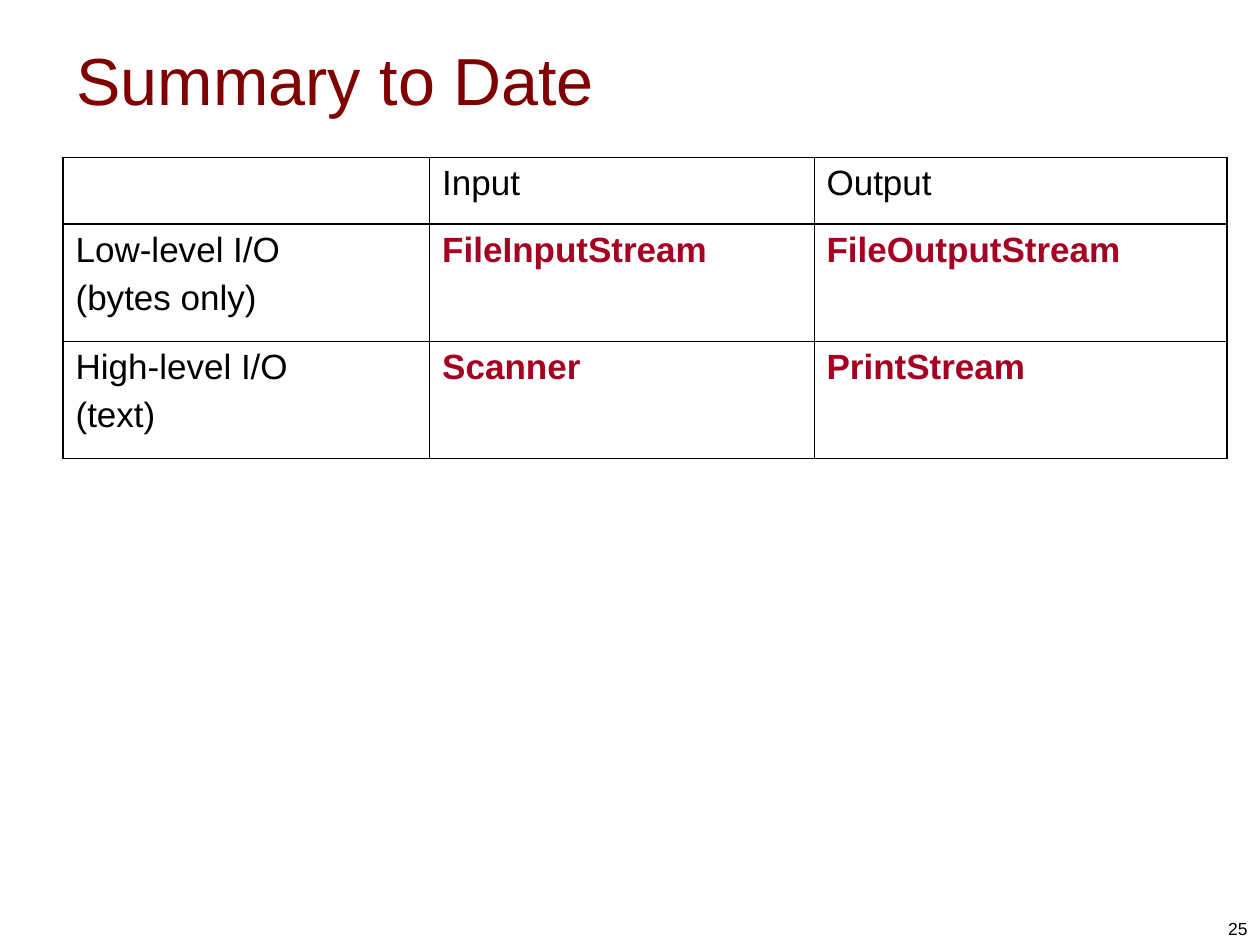
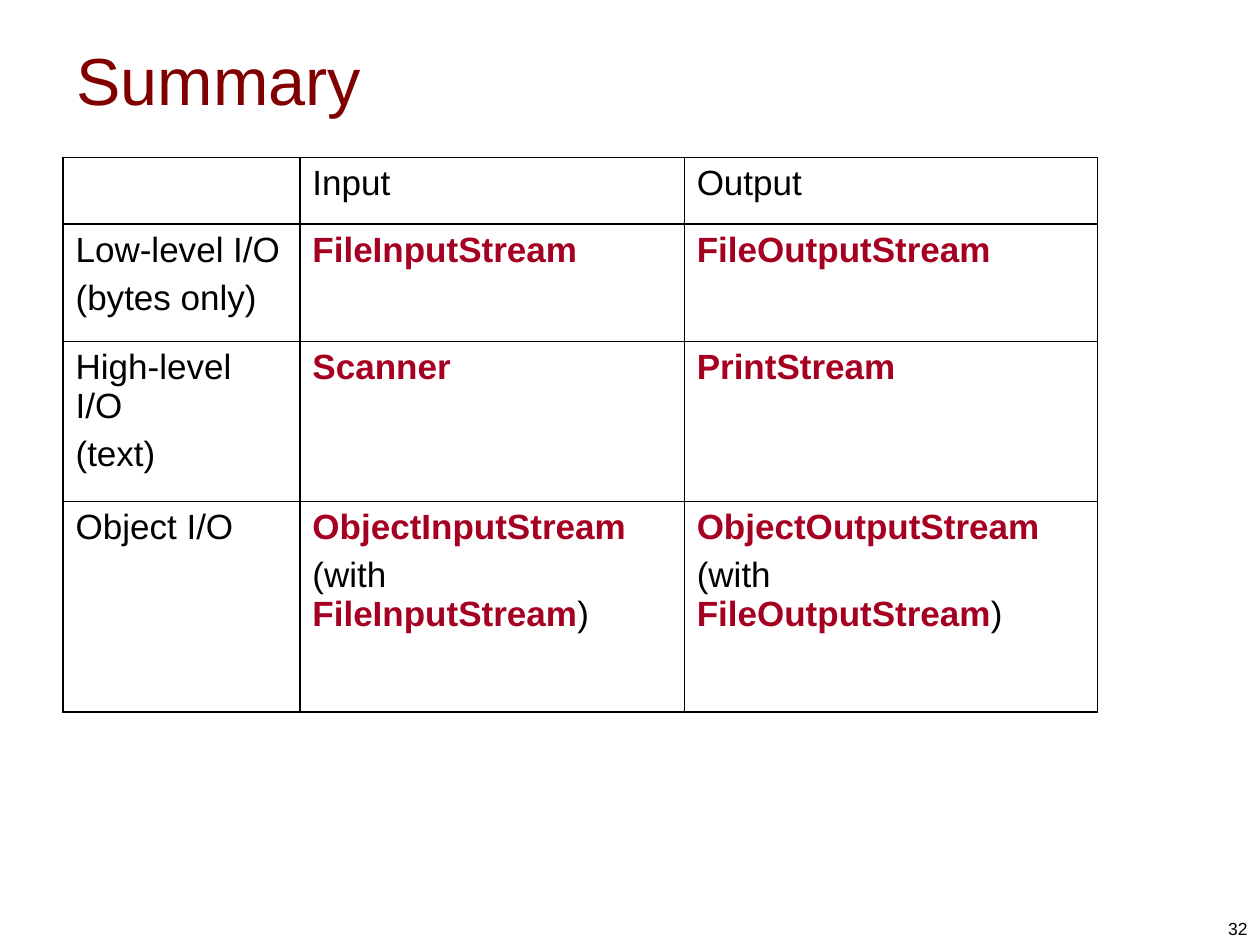
from lxml.etree import SubElement
from pptx import Presentation
from pptx.dml.color import RGBColor
from pptx.enum.text import MSO_ANCHOR as Anchor, PP_ALIGN as Align
from pptx.oxml.ns import qn
from pptx.util import Inches, Pt

# Content: backticks enclose Java class names
HEADER = ["", "Input", "Output"]
LOW_LEVEL = ["Low-level I/O\n(bytes only)", "`FileInputStream`", "`FileOutputStream`"]
HIGH_LEVEL = ["High-level I/O\n(text)", "`Scanner`", "`PrintStream`"]
OBJECT_IO = ["Object I/O",
             "`ObjectInputStream`\n(with `FileInputStream`)",
             "`ObjectOutputStream`\n(with `FileOutputStream`)"]

SUMMARIES = [
    dict(title="Summary to Date", number=25, label_width=2.91,
         rows=[HEADER, LOW_LEVEL, HIGH_LEVEL], heights=[0.53, 0.93, 0.93]),
    dict(title="Summary", number=32, label_width=1.88,
         rows=[HEADER, LOW_LEVEL, HIGH_LEVEL, OBJECT_IO],
         heights=[0.53, 0.93, 1.27, 1.67]),
]

# Shared style and layout, in inches and points
FONT = "Arial"
TITLE_COLOR, TEXT_COLOR, CLASS_COLOR = "800000", "000000", "A50021"
TITLE_BOX = (0.51, 0.18, 9, 0.9)
NUMBER_BOX = (7.67, 7.0, 2.33, 0.5)
TABLE_LEFT, TABLE_TOP = 0.5, 1.25
STREAM_WIDTHS = [3.05, 3.28]
THICK, THIN = 1.08, 0.45


def color(hex_code):
    return RGBColor.from_string(hex_code)


def add_text(slide, box, text, size, hex_code, anchor, align=Align.LEFT):
    frame = slide.shapes.add_textbox(*map(Inches, box)).text_frame
    frame.word_wrap = True
    frame.vertical_anchor = anchor
    line = frame.paragraphs[0]
    line.text = text
    line.alignment = align
    line.font.name, line.font.size = FONT, Pt(size)
    line.font.color.rgb = color(hex_code)


def set_border(cell, side, width):
    edge = SubElement(cell._tc.get_or_add_tcPr(), qn(f"a:ln{side}"), w=str(Pt(width)))
    fill = SubElement(edge, qn("a:solidFill"))
    SubElement(fill, qn("a:srgbClr"), val=TEXT_COLOR)


def fill_cell(cell, text):
    frame = cell.text_frame
    for i, content in enumerate(text.split("\n")):
        line = frame.add_paragraph() if i else frame.paragraphs[0]
        line.space_before = Pt(5 if i else 0)
        line.font.name, line.font.size = FONT, Pt(20)
        # Every second piece lies between backticks
        for k, piece in enumerate(content.split("`")):
            if piece:
                is_class = k % 2 == 1
                run = line.add_run()
                run.text = piece
                run.font.bold = is_class
                run.font.color.rgb = color(CLASS_COLOR if is_class else TEXT_COLOR)


def add_summary_table(slide, rows, widths, heights):
    table = slide.shapes.add_table(
        len(rows), len(widths), Inches(TABLE_LEFT), Inches(TABLE_TOP),
        Inches(sum(widths)), Inches(sum(heights))).table
    table.first_row = table.horz_banding = False
    for column, width in zip(table.columns, widths):
        column.width = Inches(width)
    for row, height in zip(table.rows, heights):
        row.height = Inches(height)

    # Frame, header row and label column have thick edges; the rest are thin
    across = [THICK, THICK] + [THIN] * (len(rows) - 2) + [THICK]
    down = [THICK, THICK] + [THIN] * (len(widths) - 2) + [THICK]
    for r, texts in enumerate(rows):
        for c, text in enumerate(texts):
            cell = table.cell(r, c)
            edges = dict(L=down[c], R=down[c + 1], T=across[r], B=across[r + 1])
            for side, width in edges.items():
                set_border(cell, side, width)
            cell.fill.background()
            fill_cell(cell, text)


def main():
    deck = Presentation()
    deck.slide_width, deck.slide_height = Inches(10), Inches(7.5)
    for summary in SUMMARIES:
        slide = deck.slides.add_slide(deck.slide_layouts[6])
        add_text(slide, TITLE_BOX, summary["title"], 38, TITLE_COLOR, Anchor.MIDDLE)
        add_summary_table(slide, summary["rows"],
                          [summary["label_width"]] + STREAM_WIDTHS, summary["heights"])
        add_text(slide, NUMBER_BOX, str(summary["number"]), 10, TEXT_COLOR,
                 Anchor.BOTTOM, Align.RIGHT)
    deck.save("out.pptx")


if __name__ == "__main__":
    main()
